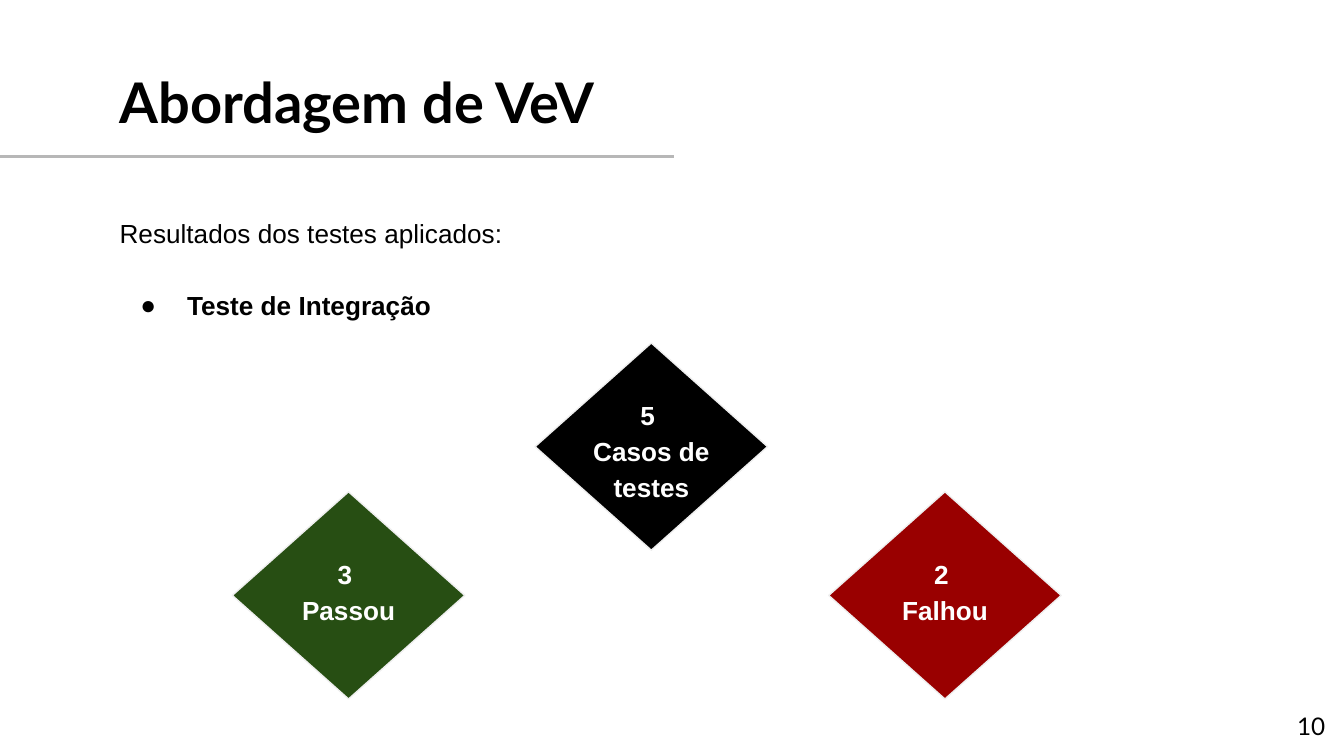
"""Build the slide of integration test results, with one diamond per outcome."""
import pptx
import pptx.dml.color
import pptx.enum.shapes
import pptx.enum.text
import pptx.oxml.ns
import pptx.util
from lxml import etree

Pt = pptx.util.Pt
Align = pptx.enum.text.PP_ALIGN
COLORS = {
    "text": "000000", "light": "FFFFFF", "rule": "B7B7B7", "edge": "EFEFEF",
    "total": "000000", "passed": "274E13", "failed": "990000",
}
ARIAL = {"name": "Arial", "size": Pt(14), "bold": False}
ARIAL_BOLD = {**ARIAL, "bold": True}
TITLE = {"name": "Lato", "size": Pt(30), "bold": True}
NUMBER = {"name": "Lato", "size": Pt(13), "bold": False}


def rgb(name):
    return pptx.dml.color.RGBColor.from_string(COLORS[name])


def write(box, bounds, lines, font, color="text", align=Align.LEFT, spacing=1.0):
    box.left, box.top, box.width, box.height = map(Pt, bounds)
    frame = box.text_frame
    frame.text = "\n".join(lines)
    layout = {
        "word_wrap": True,
        "auto_size": pptx.enum.text.MSO_AUTO_SIZE.NONE,
        "vertical_anchor": pptx.enum.text.MSO_ANCHOR.TOP,
        **{f"margin_{side}": Pt(7.2) for side in ("left", "top", "right", "bottom")},
    }
    for key, value in layout.items():
        setattr(frame, key, value)
    for para in frame.paragraphs:
        para.alignment, para.line_spacing, para.space_before = align, spacing, Pt(0)
        for span in para.runs:
            for key, value in font.items():
                setattr(span.font, key, value)
            span.font.color.rgb = rgb(color)


deck = pptx.Presentation()
deck.slide_width, deck.slide_height = Pt(720), Pt(405)
page = deck.slides.add_slide(deck.slide_layouts[1])
title, body = page.placeholders

rule = page.shapes.add_connector(
    pptx.enum.shapes.MSO_CONNECTOR.STRAIGHT, Pt(0), Pt(84), Pt(361), Pt(84))
rule.line.color.rgb = rgb("rule")
rule.line.width = Pt(1.5)
etree.SubElement(rule.element.spPr, pptx.oxml.ns.qn("a:effectLst"))

write(title, (57, 29, 607, 43), ["Abordagem de VeV"], TITLE)
number = page.shapes.add_textbox(0, 0, 0, 0)
write(number, (674, 374, 43, 31), ["10"], NUMBER, align=Align.RIGHT)
intro = page.shapes.add_textbox(0, 0, 0, 0)
write(intro, (57, 109, 236, 32), ["Resultados dos testes aplicados:"], ARIAL)

write(body, (57, 145.5, 607, 51), ["Teste de Integração"], ARIAL_BOLD, spacing=1.15)
for para in body.text_frame.paragraphs:
    settings = para._p.get_or_add_pPr()
    settings.set("marL", str(Pt(36)))
    settings.set("indent", str(Pt(-25)))
    bullet_color = etree.SubElement(settings, pptx.oxml.ns.qn("a:buClr"))
    etree.SubElement(bullet_color, pptx.oxml.ns.qn("a:srgbClr"), val=COLORS["text"])
    etree.SubElement(settings, pptx.oxml.ns.qn("a:buFont"), typeface="Arial")
    etree.SubElement(settings, pptx.oxml.ns.qn("a:buChar"), char="●")

WIDTH, HEIGHT, LABEL_WIDTH = 124.5, 111, 117.5
RESULTS = [
    ("total", 286.7, 183.8, 204, 70.5, ["5 ", "Casos de testes"]),
    ("passed", 124.5, 263.5, 289.5, 51, ["3 ", "Passou"]),
    ("failed", 444, 263.5, 289.5, 51, ["2 ", "Falhou"]),
]
for color, left, top, label_top, label_height, lines in RESULTS:
    diamond = page.shapes.add_shape(
        pptx.enum.shapes.MSO_SHAPE.HEXAGON, Pt(left), Pt(top), Pt(WIDTH), Pt(HEIGHT))
    diamond.adjustments[0] = WIDTH / 2 / HEIGHT
    diamond.shadow.inherit = False
    diamond.fill.solid()
    diamond.fill.fore_color.rgb = rgb(color)
    diamond.line.color.rgb = rgb("edge")
    diamond.line.width = Pt(0.75)
    label = page.shapes.add_textbox(0, 0, 0, 0)
    label_left = left + (WIDTH - LABEL_WIDTH) / 2
    write(label, (label_left, label_top, LABEL_WIDTH, label_height), lines,
          ARIAL_BOLD, "light", Align.CENTER, 1.15)

deck.save("out.pptx")
